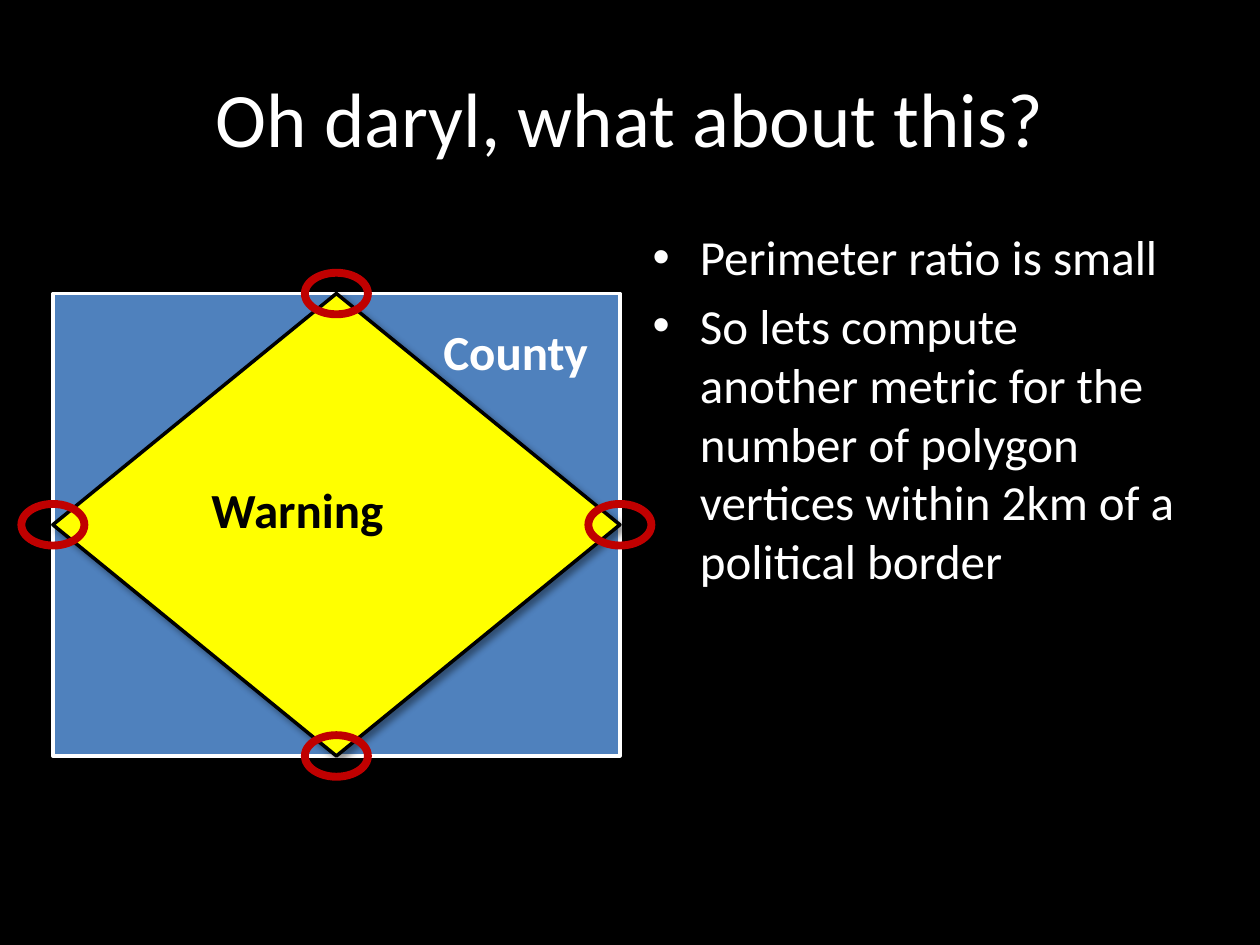
from lxml import etree
from pptx import Presentation
from pptx.dml.color import RGBColor
from pptx.enum.shapes import MSO_SHAPE
from pptx.enum.text import MSO_ANCHOR, MSO_AUTO_SIZE, PP_ALIGN
from pptx.oxml.ns import qn
from pptx.util import Inches, Pt

# Content
TITLE = "Oh daryl, what about this?"
BULLETS = [
    "Perimeter ratio is small",
    "So lets compute another metric for the number of polygon vertices "
    "within 2km of a political border",
]
COLORS = {"background": "000000", "text": "FFFFFF", "county": "4F81BD",
          "warning": "FFFF00", "outline": "000000", "vertex": "C00000"}
LABELS = [  # text, colour, left, top, width, height
    ("County", "text", 3.42, 2.5, 1.42, 0.57),
    ("Warning", "outline", 1.58, 3.76, 1.92, 0.57),
]
COUNTY = (0.42, 2.33, 4.5, 3.67)
RING_WIDTH, RING_HEIGHT = 0.5, 0.33


def color(name):
    return RGBColor.from_string(COLORS[name])


def place(shape, left, top, width, height):
    shape.left, shape.top = Inches(left), Inches(top)
    shape.width, shape.height = Inches(width), Inches(height)


def style_font(font, size, color_name, bold=False):
    font.name, font.size, font.bold = "Calibri", Pt(size), bold
    font.color.rgb = color(color_name)


def add_figure(slide, kind, box, fill, line, line_width):
    shape = slide.shapes.add_shape(kind, *map(Inches, box))
    shape.shadow.inherit = False
    if fill:
        shape.fill.solid()
        shape.fill.fore_color.rgb = color(fill)
    else:
        shape.fill.background()
    shape.line.color.rgb = color(line)
    shape.line.width = Pt(line_width)
    return shape


def add_shadow(shape):
    effects = shape._element.spPr.find(qn("a:effectLst"))
    shadow = etree.SubElement(
        effects, qn("a:outerShdw"), blurRad=str(Pt(4)), dist=str(Pt(3)),
        dir=str(45 * 60000), algn="tl", rotWithShape="0")
    shade = etree.SubElement(shadow, qn("a:srgbClr"), val=COLORS["outline"])
    etree.SubElement(shade, qn("a:alpha"), val="40000")


def main():
    presentation = Presentation()
    presentation.slide_width, presentation.slide_height = Inches(10), Inches(7.5)
    slide = presentation.slides.add_slide(presentation.slide_layouts[1])
    slide.background.fill.solid()
    slide.background.fill.fore_color.rgb = color("background")

    # Title
    title = slide.shapes.title
    place(title, 0.5, 0.3, 9, 1.25)
    title.text_frame.text = TITLE
    title.text_frame.vertical_anchor = MSO_ANCHOR.MIDDLE
    title.text_frame.paragraphs[0].alignment = PP_ALIGN.CENTER
    style_font(title.text_frame.paragraphs[0].runs[0].font, 44, "text")

    # Bullet list
    body = slide.placeholders[1]
    place(body, 5.08, 1.75, 4.42, 4.95)
    body.text_frame.text = "\n".join(BULLETS)
    body.text_frame.auto_size = MSO_AUTO_SIZE.NONE
    for index, paragraph in enumerate(body.text_frame.paragraphs):
        paragraph.space_before = Pt(5.6 if index else 0)
        style_font(paragraph.font, 28, "text")
        style_font(paragraph.runs[0].font, 28, "text")

    # County and the warning polygon inside it
    add_figure(slide, MSO_SHAPE.RECTANGLE, COUNTY, "county", "text", 2)
    add_shadow(add_figure(slide, MSO_SHAPE.DIAMOND, COUNTY, "warning", "outline", 2))

    # A ring around each vertex of the polygon
    left, top, width, height = COUNTY
    center_x, center_y = left + width / 2, top + height / 2
    vertices = [(left + width, center_y), (left, center_y),
                (center_x, top), (center_x, top + height)]
    for x, y in vertices:
        box = (x - RING_WIDTH / 2, y - RING_HEIGHT / 2, RING_WIDTH, RING_HEIGHT)
        add_figure(slide, MSO_SHAPE.OVAL, box, None, "vertex", 4.5)

    # Labels
    for text, color_name, *box in LABELS:
        text_frame = slide.shapes.add_textbox(*map(Inches, box)).text_frame
        text_frame.word_wrap = True
        text_frame.auto_size = MSO_AUTO_SIZE.SHAPE_TO_FIT_TEXT
        text_frame.text = text
        style_font(text_frame.paragraphs[0].runs[0].font, 28, color_name, True)

    presentation.save("out.pptx")


if __name__ == "__main__":
    main()
